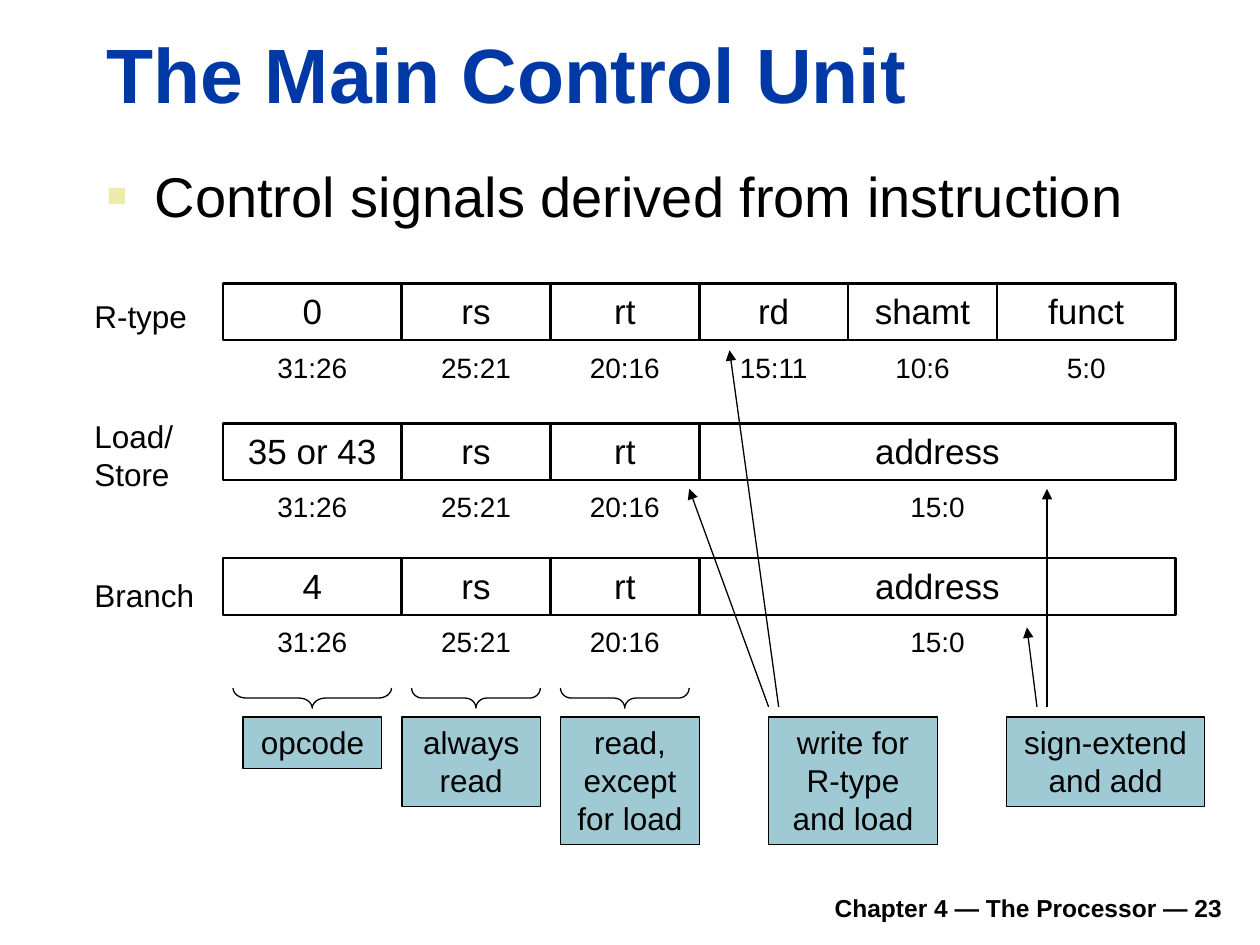
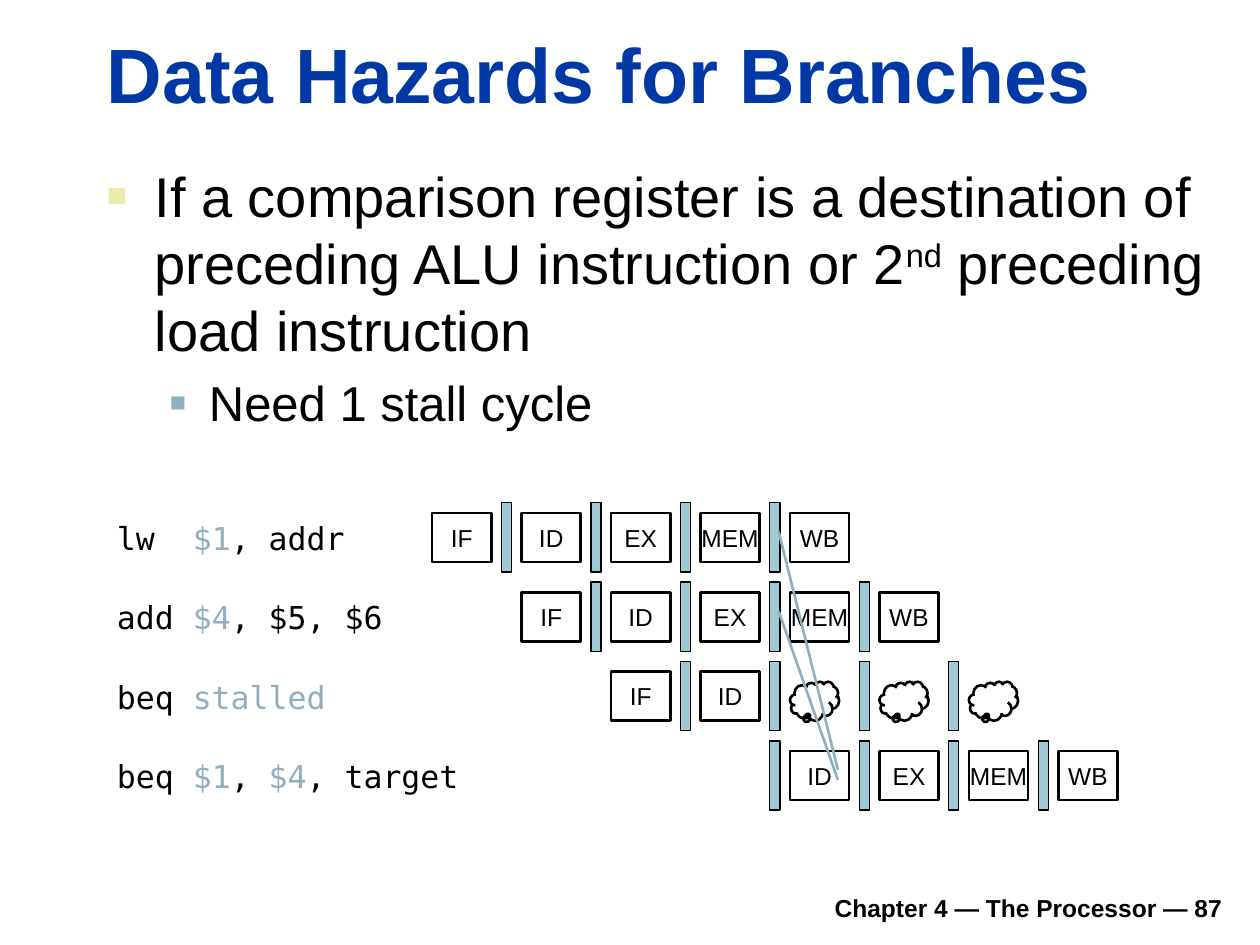
from lxml.etree import SubElement
from pptx import Presentation
from pptx.dml.color import RGBColor
from pptx.enum.shapes import MSO_CONNECTOR, MSO_SHAPE
from pptx.enum.text import MSO_ANCHOR, PP_ALIGN
from pptx.oxml.ns import qn
from pptx.util import Inches, Pt

BLACK = RGBColor(0x00, 0x00, 0x00)
TITLE_BLUE = RGBColor(0x00, 0x39, 0xA6)
TEAL = RGBColor(0x9F, 0xCA, 0xD3)
STEEL = RGBColor(0x91, 0xAF, 0xBF)
CREAM = RGBColor(0xEC, 0xEA, 0xAC)
SANS = "Arial"
MONO = "DejaVu Sans Mono"

# Per outline level: text size, left margin, hanging indent, bullet colour, bullet percent
LEVELS = [(32, 0.38, 0.38, CREAM, 60), (28, 0.81, 0.31, STEEL, 55)]

# Instruction formats: 32 bits share the full width
FIELD_LEFT = 1.77
BIT_WIDTH = 7.56 / 32
FIELD_HEIGHT = 0.45

# Pipeline grid
STAGE_LEFT, STAGE_TOP = 3.43, 4.07
STAGE_PITCH, ROW_PITCH = 0.71, 0.63
REGISTERS_PER_ROW = 4


# Text helpers
def style(paragraph, size, color=BLACK, bold=False, font=SANS, align=PP_ALIGN.LEFT):
    paragraph.alignment = align
    paragraph.font.size = Pt(size)
    paragraph.font.name = font
    paragraph.font.bold = bold
    paragraph.font.color.rgb = color


def add_text(slide, box, text, size, wrap=False, anchor=MSO_ANCHOR.TOP, **look):
    frame = slide.shapes.add_textbox(*map(Inches, box)).text_frame
    frame.word_wrap = wrap
    frame.vertical_anchor = anchor
    frame.paragraphs[0].text = text
    style(frame.paragraphs[0], size, **look)
    return frame


def add_code(slide, left, top, width, code):
    """Parts between bars are highlighted."""
    paragraph = add_text(slide, (left, top, width, 0.4), "", 18, font=MONO).paragraphs[0]
    for index, part in enumerate(code.split("|")):
        run = paragraph.add_run()
        run.text = part
        if index % 2:
            run.font.color.rgb = STEEL


def add_bullet(paragraph, level):
    size, margin, hanging, color, percent = LEVELS[level]
    paragraph.level = level
    properties = paragraph._p.get_or_add_pPr()
    properties.set("marL", str(Inches(margin)))
    properties.set("indent", str(-Inches(hanging)))
    bullet_color = SubElement(properties, qn("a:buClr"))
    SubElement(bullet_color, qn("a:srgbClr"), val=str(color))
    SubElement(properties, qn("a:buSzPct"), val=str(percent * 1000))
    SubElement(properties, qn("a:buFont"), typeface=SANS)
    SubElement(properties, qn("a:buChar"), char="■")
    style(paragraph, size)


def add_body(slide, height, items):
    """Each item is (level, text); parts between carets are superscript."""
    box = slide.shapes.add_textbox(*map(Inches, (0.75, 1.23, 9.05, height)))
    frame = box.text_frame
    frame.word_wrap = True
    for index, (level, text) in enumerate(items):
        paragraph = frame.add_paragraph() if index else frame.paragraphs[0]
        add_bullet(paragraph, level)
        if index:
            paragraph.space_before = Pt(LEVELS[level][0] * 0.2)
        for position, part in enumerate(text.split("^")):
            run = paragraph.add_run()
            run.text = part
            if position % 2:
                run.font._element.set("baseline", "30000")


# Shape helpers
def add_outline(slide, kind, box, line_width, fill=None):
    shape = slide.shapes.add_shape(kind, *map(Inches, box))
    shape.shadow.inherit = False
    if fill is None:
        shape.fill.background()
    else:
        shape.fill.solid()
        shape.fill.fore_color.rgb = fill
    shape.line.color.rgb = BLACK
    shape.line.width = Pt(line_width)
    return shape


def add_box(slide, box, text, size, line_width=1.5, fill=None,
            anchor=MSO_ANCHOR.TOP, wrap=True):
    shape = add_outline(slide, MSO_SHAPE.RECTANGLE, box, line_width, fill)
    frame = shape.text_frame
    frame.word_wrap = wrap
    frame.vertical_anchor = anchor
    frame.text = text
    style(frame.paragraphs[0], size, align=PP_ALIGN.CENTER)


def add_line(slide, start, end, color=BLACK, width=0.75, arrow=False):
    connector = slide.shapes.add_connector(
        MSO_CONNECTOR.STRAIGHT, *map(Inches, (*start, *end)))
    connector.line.color.rgb = color
    connector.line.width = Pt(width)
    properties = connector._element.spPr
    if arrow:
        SubElement(properties.find(qn("a:ln")), qn("a:tailEnd"), type="triangle")
    SubElement(properties, qn("a:effectLst"))


# Instruction formats
def field_span(bits):
    """Left edge and width of a bit range such as 31:26."""
    high, low = map(int, bits.split(":"))
    return FIELD_LEFT + (31 - high) * BIT_WIDTH, (high - low + 1) * BIT_WIDTH


def add_format(slide, top, fields):
    for bits, name in fields:
        left, width = field_span(bits)
        add_box(slide, (left, top, width, FIELD_HEIGHT), name, 20)
        add_text(slide, (left, top + 0.48, width, 0.37), bits, 16,
                 align=PP_ALIGN.CENTER)


def add_brace(slide, bits):
    left, width = field_span(bits)
    span, depth = width - 0.16, 0.16
    box = (left + (width - depth) / 2, 5.54 - span / 2, depth, span)
    brace = add_outline(slide, MSO_SHAPE.LEFT_BRACE, box, 0.75)
    brace.rotation = 270
    brace.adjustments[0] = span / depth / 12


# Pipeline
def add_pipeline_row(slide, row, first_column, stages):
    top = STAGE_TOP + row * ROW_PITCH
    for column, stage in enumerate(stages, first_column):
        left = STAGE_LEFT + column * STAGE_PITCH
        if stage == "bubble":
            cloud = add_outline(slide, MSO_SHAPE.CLOUD_CALLOUT,
                                (left, top + 0.08, 0.39, 0.31), 1.5)
            cloud.adjustments[0], cloud.adjustments[1] = -0.13, 0.36
        else:
            add_box(slide, (left, top, 0.47, 0.39), stage, 14,
                    anchor=MSO_ANCHOR.MIDDLE, wrap=False)
    for column in range(row + 1, row + 1 + REGISTERS_PER_ROW):
        left = STAGE_LEFT + column * STAGE_PITCH - 0.16
        add_outline(slide, MSO_SHAPE.RECTANGLE, (left, top - 0.08, 0.08, 0.55),
                    0.75, TEAL)


# Slides
def add_slide(presentation, title, number):
    slide = presentation.slides.add_slide(presentation.slide_layouts[6])
    add_text(slide, (1.85, 6.98, 7.95, 0.39), f"Chapter 4 — The Processor — {number}", 14,
             wrap=True, anchor=MSO_ANCHOR.BOTTOM, bold=True, align=PP_ALIGN.RIGHT)
    add_text(slide, (0.75, 0.16, 9.03, 0.83), title, 44,
             wrap=True, anchor=MSO_ANCHOR.BOTTOM, color=TITLE_BLUE, bold=True)
    return slide


def build_control_unit(presentation):
    slide = add_slide(presentation, "The Main Control Unit", 23)
    add_body(slide, 0.76, [(0, "Control signals derived from instruction")])

    registers = [("25:21", "rs"), ("20:16", "rt")]
    address = [("15:0", "address")]
    add_format(slide, 2.25, [("31:26", "0"), *registers, ("15:11", "rd"),
                             ("10:6", "shamt"), ("5:0", "funct")])
    add_format(slide, 3.36, [("31:26", "35 or 43"), *registers, *address])
    add_format(slide, 4.43, [("31:26", "4"), *registers, *address])
    for top, height, label in [(2.31, 0.4, "R-type"), (3.26, 0.7, "Load/\vStore"),
                               (4.52, 0.4, "Branch")]:
        add_text(slide, (0.65, top, 0.99, height), label, 18)

    # Uses of the fields
    for bits in ("31:26", "25:21", "20:16"):
        add_brace(slide, bits)
    for left, width, height, use in [
            (1.93, 1.1, 0.41, "opcode"),
            (3.19, 1.1, 0.71, "always read"),
            (4.45, 1.1, 1.01, "read, except for load"),
            (6.1, 1.34, 1.01, "write for R-type and load"),
            (7.99, 1.57, 0.71, "sign-extend and add")]:
        add_box(slide, (left, 5.69, width, height), use, 18, 0.75, TEAL)
    for start_x, end in [(6.1, (5.47, 3.88)), (6.18, (5.79, 2.78)),
                         (8.23, (8.15, 4.98)), (8.31, (8.31, 3.88))]:
        add_line(slide, (start_x, 5.61), end, arrow=True)


def build_data_hazards(presentation):
    slide = add_slide(presentation, "Data Hazards for Branches", 87)
    add_body(slide, 2.6, [
        (0, "If a comparison register is a destination of preceding ALU instruction "
            "or 2^nd^ preceding load instruction"),
        (1, "Need 1 stall cycle")])

    rows = [("lw  |$1|, addr", 2.01, 0, ["IF", "ID", "EX", "MEM", "WB"]),
            ("add |$4|, $5, $6", 2.32, 1, ["IF", "ID", "EX", "MEM", "WB"]),
            ("beq |stalled", 1.86, 2, ["IF", "ID", "bubble", "bubble", "bubble"]),
            ("beq |$1|, |$4|, target", 2.92, 4, ["ID", "EX", "MEM", "WB"])]
    for row, (code, width, first_column, stages) in enumerate(rows):
        add_code(slide, 0.83, STAGE_TOP + row * ROW_PITCH, width, code)
        add_pipeline_row(slide, row, first_column, stages)

    # Forwarding paths to the branch
    for start_y, end_y in [(4.22, 6.11), (4.85, 6.19)]:
        add_line(slide, (6.18, start_y), (6.65, end_y), STEEL, 1.5)


def main():
    presentation = Presentation()
    presentation.slide_width = Inches(10)
    presentation.slide_height = Inches(7.5)
    build_control_unit(presentation)
    build_data_hazards(presentation)
    presentation.save("out.pptx")


if __name__ == "__main__":
    main()
